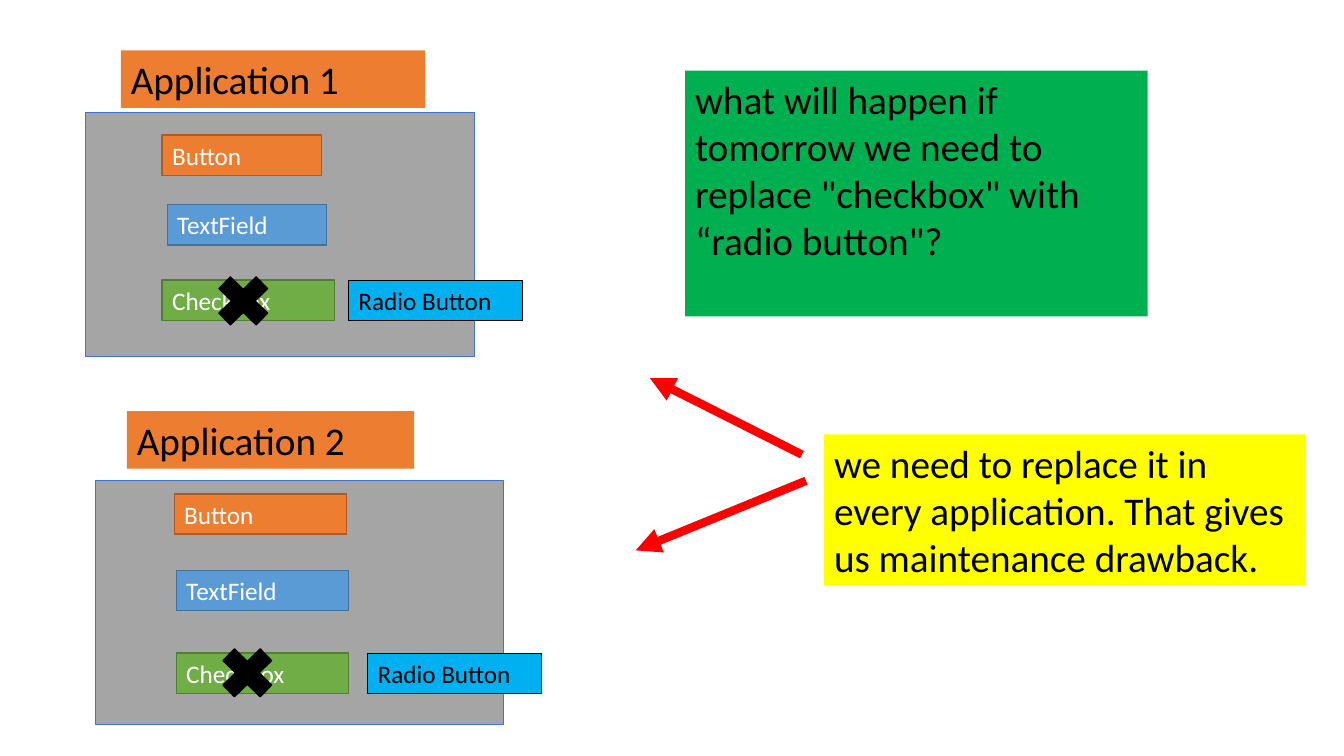
from lxml import etree
from pptx import Presentation
from pptx.dml.color import RGBColor
from pptx.enum import shapes, text
from pptx.oxml.ns import qn
from pptx.util import Inches, Pt

BLACK = RGBColor(0x00, 0x00, 0x00)
WHITE = RGBColor(0xFF, 0xFF, 0xFF)
GRAY = RGBColor(0xA5, 0xA5, 0xA5)
NAVY = RGBColor(0x44, 0x72, 0xC4)
ORANGE = RGBColor(0xED, 0x7D, 0x31)
RUST = RGBColor(0xAE, 0x5A, 0x21)
BLUE = RGBColor(0x5B, 0x9B, 0xD5)
STEEL = RGBColor(0x41, 0x71, 0x9C)
GREEN = RGBColor(0x70, 0xAD, 0x47)
MOSS = RGBColor(0x50, 0x7E, 0x32)
CYAN = RGBColor(0x00, 0xB0, 0xF0)
JADE = RGBColor(0x00, 0xB0, 0x50)
YELLOW = RGBColor(0xFF, 0xFF, 0x00)
RED = RGBColor(0xFF, 0x00, 0x00)

FONT = "Calibri"
LARGE, SMALL = 28, 18
ROW = 0.4  # height of a widget
CROSS = (0.71, 0.69)

# label, fill, line colour, line width, text colour
WIDGETS = [
    ("Button", ORANGE, RUST, 1, WHITE),
    ("TextField", BLUE, STEEL, 1, WHITE),
    ("Checkbox", GREEN, MOSS, 1, WHITE),
    ("Radio Button", CYAN, BLACK, 0.75, BLACK),
]

# Offsets are from the panel's top left: title and widgets as
# (left, top, width), cross as (left, top).
APPS = [
    dict(name="Application 1", box=(0.85, 1.12, 3.86, 2.42),
         title=(0.35, -0.62, 3.02), cross=(1.21, 1.52),
         spots=[(0.76, 0.22, 1.58), (0.81, 0.91, 1.58),
                (0.76, 1.66, 1.71), (2.61, 1.66, 1.73)]),
    dict(name="Application 2", box=(0.95, 4.77, 4.05, 2.42),
         title=(0.31, -0.69, 2.85), cross=(1.15, 1.56),
         spots=[(0.78, 0.13, 1.71), (0.8, 0.89, 1.71),
                (0.8, 1.71, 1.71), (2.7, 1.71, 1.73)]),
]


def add_block(slide, box, fill, line=None, width=0.75,
              kind=shapes.MSO_SHAPE.RECTANGLE):
    block = slide.shapes.add_shape(kind, *map(Inches, box))
    block.shadow.inherit = False
    block.fill.solid()
    block.fill.fore_color.rgb = fill
    if line is None:
        block.line.fill.background()
    else:
        block.line.color.rgb = line
        block.line.width = Pt(width)
    return block


def add_label(block, words, size, color=BLACK):
    frame = block.text_frame
    frame.word_wrap = True
    frame.vertical_anchor = text.MSO_ANCHOR.TOP
    para = frame.paragraphs[0]
    para.text = words
    para.alignment = text.PP_ALIGN.LEFT
    para.font.name = FONT
    para.font.size = Pt(size)
    para.font.color.rgb = color


def add_app(slide, name, box, title, spots, cross):
    """Draw a panel with its title, its widgets and the crossed-out checkbox."""
    left, top = box[:2]
    add_block(slide, box, GRAY, NAVY)

    x, y, width = title
    add_label(add_block(slide, (left + x, top + y, width, 0.57), ORANGE),
              name, LARGE)

    for (words, fill, line, weight, color), (x, y, width) in zip(WIDGETS, spots):
        block = add_block(slide, (left + x, top + y, width, ROW),
                          fill, line, weight)
        add_label(block, words, SMALL, color)

    x, y = cross
    add_block(slide, (left + x, top + y, *CROSS), BLACK, BLACK, 1,
              shapes.MSO_SHAPE.MATH_MULTIPLY)


def add_note(slide, box, fill, words):
    add_label(add_block(slide, box, fill), words, LARGE)


def add_arrow(slide, start, end):
    arrow = slide.shapes.add_connector(
        shapes.MSO_CONNECTOR.STRAIGHT, *map(Inches, start + end))
    arrow.line.color.rgb = RED
    arrow.line.width = Pt(6)
    etree.SubElement(arrow.line._get_or_add_ln(), qn("a:tailEnd"),
                     type="triangle")
    etree.SubElement(arrow._element.spPr, qn("a:effectLst"))


def main():
    deck = Presentation()
    deck.slide_width = Inches(13.34)
    deck.slide_height = Inches(7.5)
    slide = deck.slides.add_slide(deck.slide_layouts[6])

    for app in APPS:
        add_app(slide, **app)

    add_note(slide, (6.8, 0.7, 4.59, 2.44), JADE,
             'what will happen if tomorrow we need to replace '
             '"checkbox" with “radio button"?')
    add_note(slide, (8.18, 4.31, 4.78, 1.5), YELLOW,
             "we need to replace it in every application. "
             "That gives us maintenance drawback.")
    add_arrow(slide, (7.96, 4.51), (6.45, 3.75))
    add_arrow(slide, (8, 4.77), (6.31, 5.46))

    deck.save("out.pptx")


if __name__ == "__main__":
    main()
